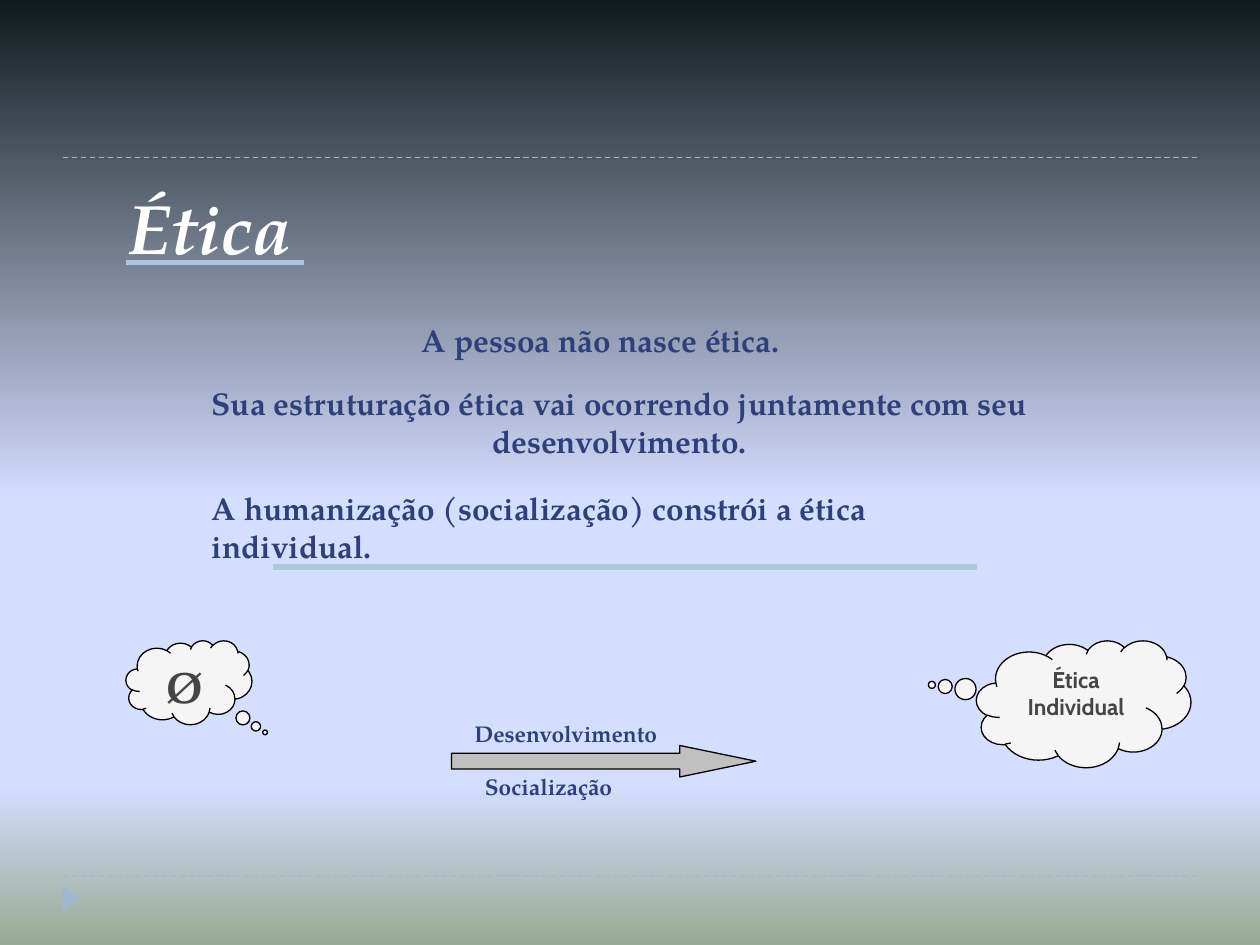
"""Builds a slide on how ethics develops from birth to the individual."""
from lxml import etree
from pptx import Presentation
from pptx.dml.color import RGBColor
from pptx.enum.dml import MSO_LINE
from pptx.enum.shapes import MSO_CONNECTOR, MSO_SHAPE
from pptx.enum.text import MSO_ANCHOR, MSO_AUTO_SIZE, PP_ALIGN
from pptx.oxml.ns import qn
from pptx.util import Pt

LEFT, CENTER = PP_ALIGN.LEFT, PP_ALIGN.CENTER
TOP = MSO_ANCHOR.TOP
NO_FIT = MSO_AUTO_SIZE.NONE
DASH = MSO_LINE.DASH
STRAIGHT = MSO_CONNECTOR.STRAIGHT
CLOUD = MSO_SHAPE.CLOUD_CALLOUT
ARROW = MSO_SHAPE.RIGHT_ARROW
TRIANGLE = MSO_SHAPE.ISOSCELES_TRIANGLE
TITLE_ONLY = 5

SERIF, SANS = "TeX Gyre Pagella", "Cabin"
COLORS = {
    "night": "101B1D", "sky": "D4DEFF", "grass": "96AB94",
    "frame": "9FB8CD", "rule": "ABC8DD", "navy": "2E407A",
    "title": "FFFFFF", "cloud": "F5F5F5", "cloud_text": "454545",
    "arrow": "C0C0C0", "outline": "000000",
}
SKY_STOPS = [(0, "night"), (53, "sky"), (83, "sky"), (100, "grass")]


def rgb(color):
    """Return the named colour."""
    return RGBColor.from_string(COLORS[color])


def paint_background(slide):
    """Fill the background with a vertical gradient."""
    slide.background.fill.gradient()
    gradient = slide.element.find(".//" + qn("a:gradFill"))
    stops = gradient.find(qn("a:gsLst"))
    for stop in list(stops):
        stops.remove(stop)
    for percent, color in SKY_STOPS:
        stop = etree.SubElement(stops, qn("a:gs"), pos=str(percent * 1000))
        etree.SubElement(stop, qn("a:srgbClr"), val=COLORS[color])
    gradient.find(qn("a:lin")).set("ang", str(90 * 60000))


def write(frame, text, size, color="navy", font=SERIF, align=LEFT, italic=False):
    """Write one bold paragraph from the top of a text frame."""
    frame.vertical_anchor = TOP
    paragraph = frame.paragraphs[0]
    paragraph.alignment = align
    run = paragraph.add_run()
    run.text = text
    font_values = {"name": font, "size": Pt(size), "bold": True, "italic": italic}
    for attribute, value in font_values.items():
        setattr(run.font, attribute, value)
    run.font.color.rgb = rgb(color)


def add_title(slide, text, box):
    """Place and format the title."""
    title = slide.shapes.title
    for side, value in zip(("left", "top", "width", "height"), box):
        setattr(title, side, Pt(value))
    title.text_frame.auto_size = NO_FIT
    write(title.text_frame, text, 40, "title", italic=True)


def add_statement(slide, text, box, size=18, align=LEFT, wrap=True):
    """Add a text box with one statement."""
    frame = slide.shapes.add_textbox(*map(Pt, box)).text_frame
    frame.word_wrap = wrap
    write(frame, text, size, align=align)


def add_rule(slide, left, right, y, color, width, dash=None):
    """Add a horizontal rule."""
    rule = slide.shapes.add_connector(STRAIGHT, Pt(left), Pt(y), Pt(right), Pt(y))
    rule.line.color.rgb = rgb(color)
    rule.line.width = Pt(width)
    if dash:
        rule.line.dash_style = dash
    etree.SubElement(rule.element.spPr, qn("a:effectLst"))


def add_figure(slide, preset, box, adjustments, fill, outline=None):
    """Add a filled preset shape, outlined on request."""
    figure = slide.shapes.add_shape(preset, *map(Pt, box))
    figure.shadow.inherit = False
    for index, value in enumerate(adjustments):
        figure.adjustments[index] = value
    figure.fill.solid()
    figure.fill.fore_color.rgb = rgb(fill)
    if outline:
        figure.line.color.rgb = rgb(outline)
        figure.line.width = Pt(0.75)
    else:
        figure.line.fill.background()
    return figure


def add_cloud(slide, text, box, tail, size, font):
    """Add a thought cloud with centred text."""
    cloud = add_figure(slide, CLOUD, box, tail, "cloud", "outline")
    write(cloud.text_frame, text, size, "cloud_text", font, CENTER)


def main():
    """Build and save the slide."""
    deck = Presentation()
    deck.slide_width, deck.slide_height = Pt(720), Pt(540)
    slide = deck.slides.add_slide(deck.slide_layouts[TITLE_ONLY])
    paint_background(slide)

    for y in (90, 500.4):
        add_rule(slide, 36, 684, y, "frame", 0.75, DASH)
    marker = add_figure(slide, TRIANGLE, (33, 509, 15, 9.4), [0.5], "frame")
    marker.rotation = 90

    add_title(slide, "Ética", (66, 102, 180, 55.5))
    add_rule(slide, 72, 174, 150, "rule", 3)

    add_statement(slide, "A pessoa não nasce ética.", (234, 180, 324, 29))
    add_statement(
        slide,
        "Sua estruturação ética vai ocorrendo juntamente com seu desenvolvimento.",
        (84, 216, 540, 50.5), align=CENTER)
    add_statement(
        slide, "A humanização (socialização) constrói a ética individual.",
        (114, 276, 479, 29))
    add_rule(slide, 156, 558, 324, "rule", 3)

    add_cloud(slide, "Ø", (72, 366, 72, 48), (0.604, 0.594), 25, SERIF)
    add_figure(slide, ARROW, (258, 426, 174, 18), (0.5, 2.417), "arrow", "outline")
    add_statement(slide, "Desenvolvimento", (264, 408, 120, 23), 13, wrap=False)
    add_statement(slide, "Socialização", (270, 438, 88, 23), 13, wrap=False)
    add_cloud(slide, "Ética Individual", (558, 366, 122.5, 72.5),
              (-0.708, -0.15), 13, SANS)

    deck.save("out.pptx")


if __name__ == "__main__":
    main()
